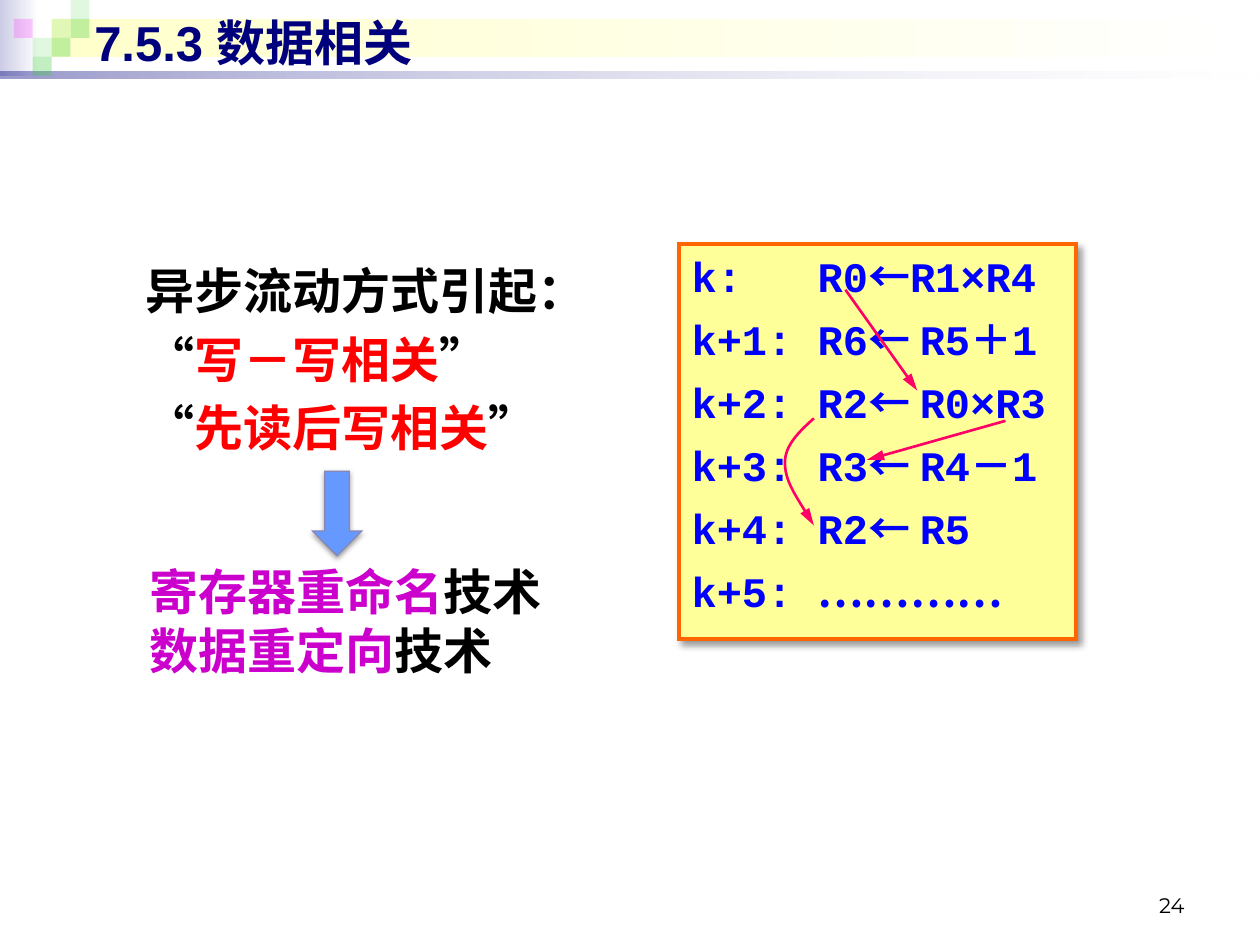
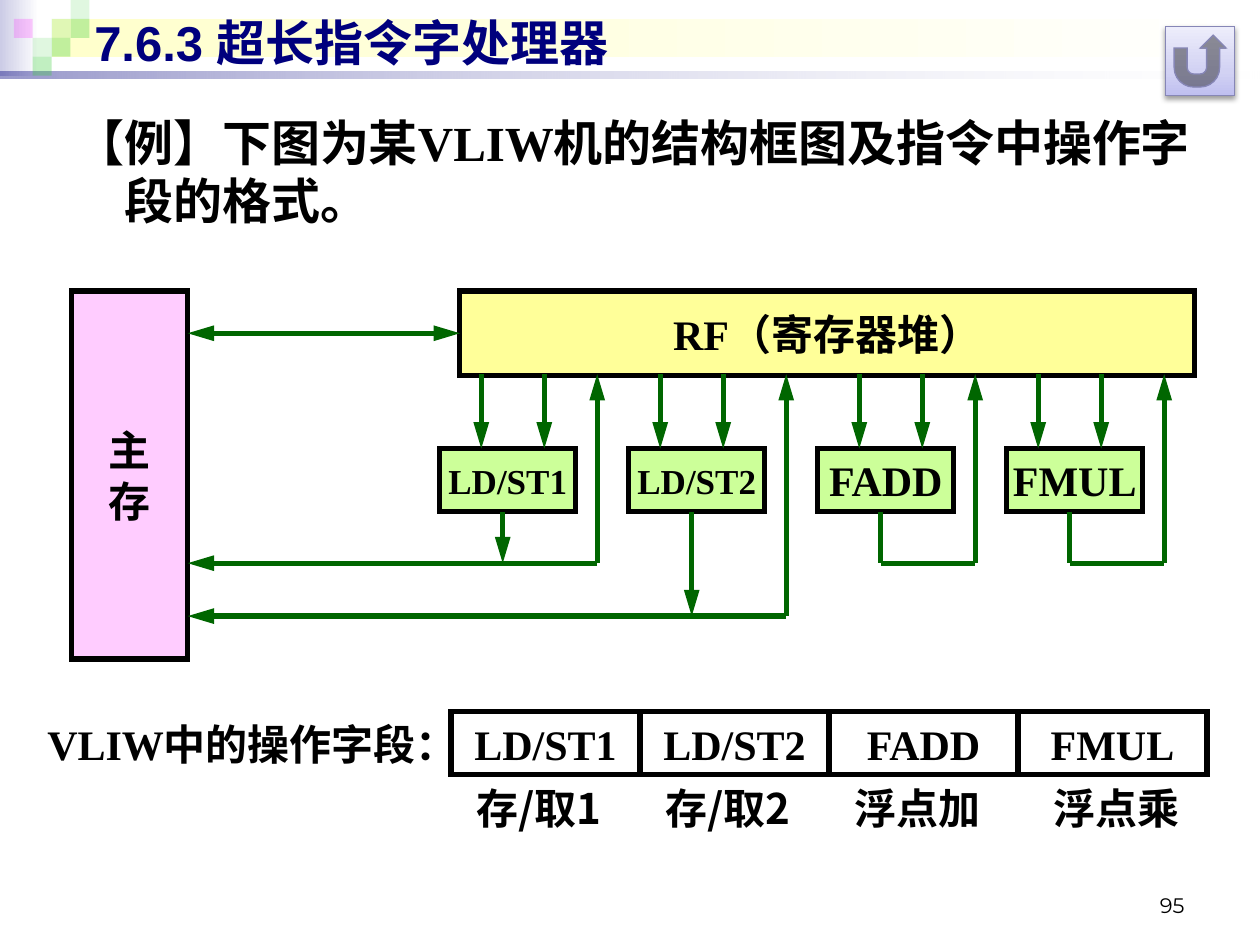
from lxml import etree
from pptx import Presentation
from pptx.dml.color import RGBColor
from pptx.enum.shapes import MSO_CONNECTOR, MSO_SHAPE
from pptx.enum.text import MSO_ANCHOR, PP_ALIGN
from pptx.oxml.ns import qn
from pptx.util import Inches, Pt

RECT, DOWN_ARROW = MSO_SHAPE.RECTANGLE, MSO_SHAPE.DOWN_ARROW
RETURN_BUTTON = MSO_SHAPE.ACTION_BUTTON_RETURN
STRAIGHT = MSO_CONNECTOR.STRAIGHT
TOP, MIDDLE, BOTTOM = MSO_ANCHOR.TOP, MSO_ANCHOR.MIDDLE, MSO_ANCHOR.BOTTOM
LEFT, CENTER, RIGHT = PP_ALIGN.LEFT, PP_ALIGN.CENTER, PP_ALIGN.RIGHT

COLORS = {
    "black": "000000", "white": "FFFFFF", "navy": "00007D", "lavender": "CCCCE6",
    "cream": "FFFFCC", "green": "33CC33", "magenta": "FF00FF", "red": "FF0000",
    "purple": "CC00CC", "code": "0000FF", "code_fill": "FFFF99",
    "code_edge": "FF6600", "hazard": "FF0066", "arrow": "6699FF",
    "edge": "8686B6", "memory": "FFCCFF", "unit": "CCFF99", "wire": "006600",
    "button_low": "BFBFF0", "button_mid": "D2D2F3", "button_high": "EDEDFB",
}
CJK, SANS, SERIF, MONO = "Noto Sans CJK SC", "Arial", "Times New Roman", "Courier New"
LINE_RATIO = 1.2
SOFT_SHADOW = ("black", 38, 3.1, 1.6, 90)


def rgb(name):
    return RGBColor.from_string(COLORS[name])


def add_color(parent, name, alpha=100):
    color = etree.SubElement(parent, qn("a:srgbClr"), val=COLORS[name])
    if alpha < 100:
        etree.SubElement(color, qn("a:alpha"), val=str(alpha * 1000))


def set_gradient(shape, stops, angle=0):
    """Fill with (position, colour, opacity) stops."""
    shape.fill.gradient()
    gradient = shape._element.spPr.find(qn("a:gradFill"))
    for child in list(gradient):
        gradient.remove(child)
    stop_list = etree.SubElement(gradient, qn("a:gsLst"))
    for position, name, alpha in stops:
        stop = etree.SubElement(stop_list, qn("a:gs"), pos=str(position * 1000))
        add_color(stop, name, alpha)
    etree.SubElement(gradient, qn("a:lin"), ang=str(angle * 60000), scaled="0")


def set_shadow(shape, name, alpha, blur, distance, angle):
    effects = shape._element.spPr.find(qn("a:effectLst"))
    outer = etree.SubElement(
        effects, qn("a:outerShdw"), blurRad=str(Pt(blur)), dist=str(Pt(distance)),
        dir=str(angle * 60000), algn="tl", rotWithShape="0")
    add_color(outer, name, alpha)


def add_block(page, box, fill=None, edge=None, width=3, alpha=100, kind=RECT):
    shape = page.shapes.add_shape(kind, *map(Inches, box))
    shape.shadow.inherit = False
    if fill:
        shape.fill.solid()
        shape.fill.fore_color.rgb = rgb(fill)
        if alpha < 100:
            color = shape._element.spPr.find(qn("a:solidFill"))[0]
            etree.SubElement(color, qn("a:alpha"), val=str(alpha * 1000))
    else:
        shape.fill.background()
    if edge:
        shape.line.color.rgb = rgb(edge)
        shape.line.width = Pt(width)
        etree.SubElement(shape.line._get_or_add_ln(), qn("a:miter"), lim="800000")
    else:
        shape.line.fill.background()
    return shape


def write(shape, paragraphs, size, font, color="black", align=LEFT, anchor=TOP,
          wrap=True, bold=True, gap=0, hanging=0):
    """Each paragraph is a list of (text, overrides) runs; gap is a share of the size."""
    frame = shape.text_frame
    frame.word_wrap = wrap
    frame.vertical_anchor = anchor
    for index, runs in enumerate(paragraphs):
        para = frame.add_paragraph() if index else frame.paragraphs[0]
        para.alignment = align
        para.line_spacing = Pt(size * LINE_RATIO)
        if index and gap:
            para.space_before = Pt(size * gap)
        if hanging:
            properties = para._p.get_or_add_pPr()
            properties.set("marL", str(Inches(hanging)))
            properties.set("indent", str(-Inches(hanging)))
        for text, changes in runs:
            span = para.add_run()
            span.text = text
            span.font.name = changes.get("font", font)
            span.font.size = Pt(changes.get("size", size))
            span.font.bold = bold
            span.font.color.rgb = rgb(changes.get("color", color))
            etree.SubElement(span._r.get_or_add_rPr(), qn("a:ea"), typeface=CJK)


def add_text(page, box, paragraphs, size, font, **style):
    shape = page.shapes.add_textbox(*map(Inches, box))
    write(shape, paragraphs, size, font, **style)


def add_arrowheads(shape, ends):
    line = shape.line._get_or_add_ln()
    for end in ends:
        etree.SubElement(line, qn(f"a:{end}"), type="triangle", w="med", len="lg")


def add_wire(page, start, end, ends=("tailEnd",), color="wire", width=3):
    wire = page.shapes.add_connector(STRAIGHT, *map(Inches, (*start, *end)))
    wire.line.color.rgb = rgb(color)
    wire.line.width = Pt(width)
    add_arrowheads(wire, ends)
    etree.SubElement(wire._element.spPr, qn("a:effectLst"))
    return wire


def add_curve(page, points, color, width):
    """Open cubic curve: a start point, then three points for each segment."""
    scaled = [(Inches(x), Inches(y)) for x, y in points]
    builder = page.shapes.build_freeform(*scaled[0])
    builder.add_line_segments(scaled[1:], close=False)
    curve = builder.convert_to_shape()
    outline = next(curve._element.iter(qn("a:path")))
    steps = outline.findall(qn("a:lnTo"))
    for first in range(0, len(steps), 3):
        cubic = etree.SubElement(outline, qn("a:cubicBezTo"))
        for step in steps[first:first + 3]:
            cubic.append(step[0])
            outline.remove(step)
    curve.shadow.inherit = False
    curve.fill.background()
    curve.line.color.rgb = rgb(color)
    curve.line.width = Pt(width)
    add_arrowheads(curve, ["tailEnd"])


def add_frame(page, title, number):
    """Header bands, mosaic, title and slide number."""
    bands = [
        ((0, 0, 0.31, 0.6), "lavender", 100, 100),
        ((0.41, 0.15, 9.55, 0.3), "cream", 100, 100),
        ((0, 0.57, 10, 0.05), "navy", 40, 10),
    ]
    for box, color, alpha, end_alpha in bands:
        band = add_block(page, box)
        set_gradient(band, [(0, color, alpha), (100, "white", end_alpha)])
    side = 0.15
    tiles = [(2, 1, "green", 15), (3, 0, "green", 15), (3, 1, "green", 30),
             (1, 2, "green", 15), (0, 1, "magenta", 20), (2, 2, "green", 30),
             (1, 3, "green", 30)]
    for column, row, color, alpha in tiles:
        add_block(page, (0.11 + column * side, row * side, side, side), color, alpha=alpha)
    add_text(page, (7.17, 6.83, 2.33, 0.5), [[(number, {})]], 12, "Montserrat",
             align=RIGHT, anchor=BOTTOM, bold=False)
    add_text(page, (0.65, 0.05, 9, 0.57), [[(title, {})]], 28, SANS,
             color="navy", anchor=MIDDLE)


def add_causes(page, left, top):
    red, purple = {"color": "red"}, {"color": "purple"}
    causes = [[("异步流动方式引起：", {})]]
    causes += [[("“", {}), (cause, red), ("”", {})] for cause in ("写－写相关", "先读后写相关")]
    add_text(page, (left, top, 4.11, 1.73), causes, 28, CJK, gap=0.2)
    remedies = [[(name, purple), ("技术", {})] for name in ("寄存器重命名", "数据重定向")]
    add_text(page, (left + 0.03, top + 2.39, 3.36, 1.04), remedies, 28, CJK, wrap=False)
    arrow = add_block(page, (left + 1.42, top + 1.72, 0.39, 0.67), "arrow", "edge", 0.75,
                      kind=DOWN_ARROW)
    set_shadow(arrow, *SOFT_SHADOW)


def add_code(page, left, top):
    panel = add_block(page, (left, top, 3.15, 3.13), "code_fill", "code_edge", 2.25)
    set_shadow(panel, "black", 40, 4, 3, 45)
    arrow, thin_space = ("←", {"font": CJK}), (" ", {"font": SANS, "size": 20})
    lines = [[("k:   R0", {}), arrow, ("R1×R4", {})]]
    for target, value in [("k+1: R6", "R5＋1"), ("k+2: R2", "R0×R3"),
                          ("k+3: R3", "R4－1"), ("k+4: R2", "R5")]:
        lines.append([(target, {}), arrow, thin_space, (value, {})])
    lines.append([("k+5: ", {}), ("…………", {"font": CJK})])
    write(panel, lines, 24, MONO, color="code", gap=0.3)

    def at(x, y):
        return left + x, top + y

    for start, end in [(at(1.32, 0.36), at(1.89, 1.16)), (at(2.59, 1.4), at(1.49, 1.71))]:
        add_wire(page, start, end, color="hazard", width=1.5)
    add_curve(page, [at(1.07, 1.38), at(0.96, 1.48), at(0.84, 1.59), at(0.84, 1.73),
                     at(0.84, 1.87), at(0.96, 2.05), at(1.07, 2.23)], "hazard", 1.5)


def add_labelled_block(page, box, lines, fill=None, size=24):
    block = add_block(page, box, fill, "black")
    write(block, [[(line, {})] for line in lines], size, SERIF,
          align=CENTER, anchor=MIDDLE, wrap=False)
    return block


def add_processor(page, left, top):
    memory_right, file_left, file_height = left + 0.92, left + 3.08, 0.67
    file_bottom, unit_top, unit_height = top + 0.66, top + 1.25, 0.5
    add_labelled_block(page, (left, top, 0.92, 2.92), ["主", "存"], "memory")
    register_file = add_labelled_block(
        page, (file_left, top, 5.83, file_height), ["RF（寄存器堆）"], "code_fill")
    level = top + file_height / 2
    link = add_wire(page, (memory_right, level), (file_left, level), ("headEnd", "tailEnd"))
    link.end_connect(register_file, 1)

    # name, text size, first feed offset, bus depth, reaches memory
    units = [("LD/ST1", 20, 0.33, 2.16, True), ("LD/ST2", 20, 0.25, 2.58, True),
             ("FADD", 24, 0.33, 2.16, False), ("FMUL", 24, 0.25, 2.16, False)]
    for index, (name, size, feed, depth, to_memory) in enumerate(units):
        unit_left = left + 2.92 + 1.5 * index
        add_labelled_block(page, (unit_left, unit_top, 1.08, unit_height), [name], "unit", size)
        for x in (unit_left + feed, unit_left + feed + 0.5):
            add_wire(page, (x, file_bottom), (x, unit_top))
        drop, back, bus = unit_left + 0.5, unit_left + 1.25, top + depth
        add_wire(page, (drop, unit_top + unit_height), (drop, bus),
                 ("tailEnd",) if to_memory else ())
        if to_memory:
            add_wire(page, (back, bus), (memory_right, bus))
        else:
            add_wire(page, (drop, bus), (back, bus), ())
        add_wire(page, (back, bus), (back, file_bottom))


def add_operation_fields(page, left, top):
    centered = {"align": CENTER, "anchor": MIDDLE}
    add_text(page, (left, top, 3.67, 0.59), [[("VLIW中的操作字段：", {})]], 24, SERIF, **centered)
    field_width = 1.5
    fields = [("LD/ST1", "存/取1", -0.05), ("LD/ST2", "存/取2", -0.05),
              ("FADD", "浮点加", -0.05), ("FMUL", "浮点乘", 0.03)]
    for index, (name, meaning, shift) in enumerate(fields):
        field_left = left + 3.41 + field_width * index
        add_labelled_block(page, (field_left, top + 0.04, field_width, 0.5), [name])
        add_text(page, (field_left + shift, top + 0.55, field_width, 0.5), [[(meaning, {})]],
                 24, CJK, **centered)


def add_return_button(page, left, top):
    button = add_block(page, (left, top, 0.55, 0.55), None, "edge", 0.75, kind=RETURN_BUTTON)
    set_gradient(button, [(0, "button_low", 100), (35, "button_mid", 100),
                          (100, "button_high", 100)], 270)
    set_shadow(button, *SOFT_SHADOW)


def build_hazard_slide(page):
    add_frame(page, "7.5.3 数据相关", "24")
    add_causes(page, 1.06, 2.02)
    add_code(page, 5.39, 1.94)


def build_vliw_slide(page):
    add_frame(page, "7.6.3 超长指令字处理器", "95")
    example = "【例】下图为某VLIW机的结构框图及指令中操作字段的格式。"
    add_text(page, (0.5, 0.84, 9.15, 1.18), [[(example, {})]], 28, SERIF, hanging=0.39)
    add_processor(page, 0.57, 2.31)
    add_operation_fields(page, 0.17, 5.61)
    add_return_button(page, 9.25, 0.21)


def main():
    deck = Presentation()
    deck.slide_width, deck.slide_height = Inches(10), Inches(7.5)
    for build in (build_hazard_slide, build_vliw_slide):
        build(deck.slides.add_slide(deck.slide_layouts[6]))
    deck.save("out.pptx")


if __name__ == "__main__":
    main()
